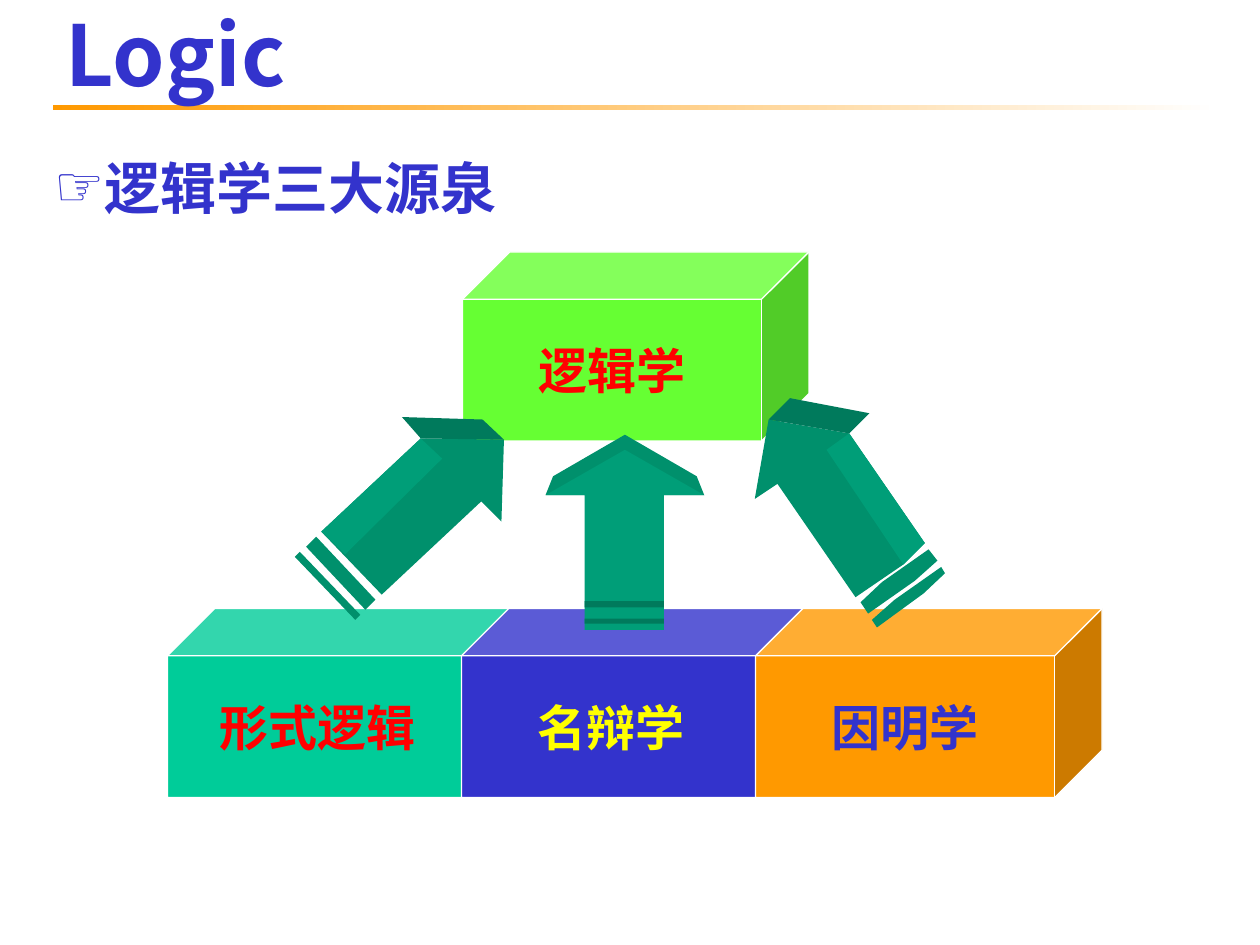
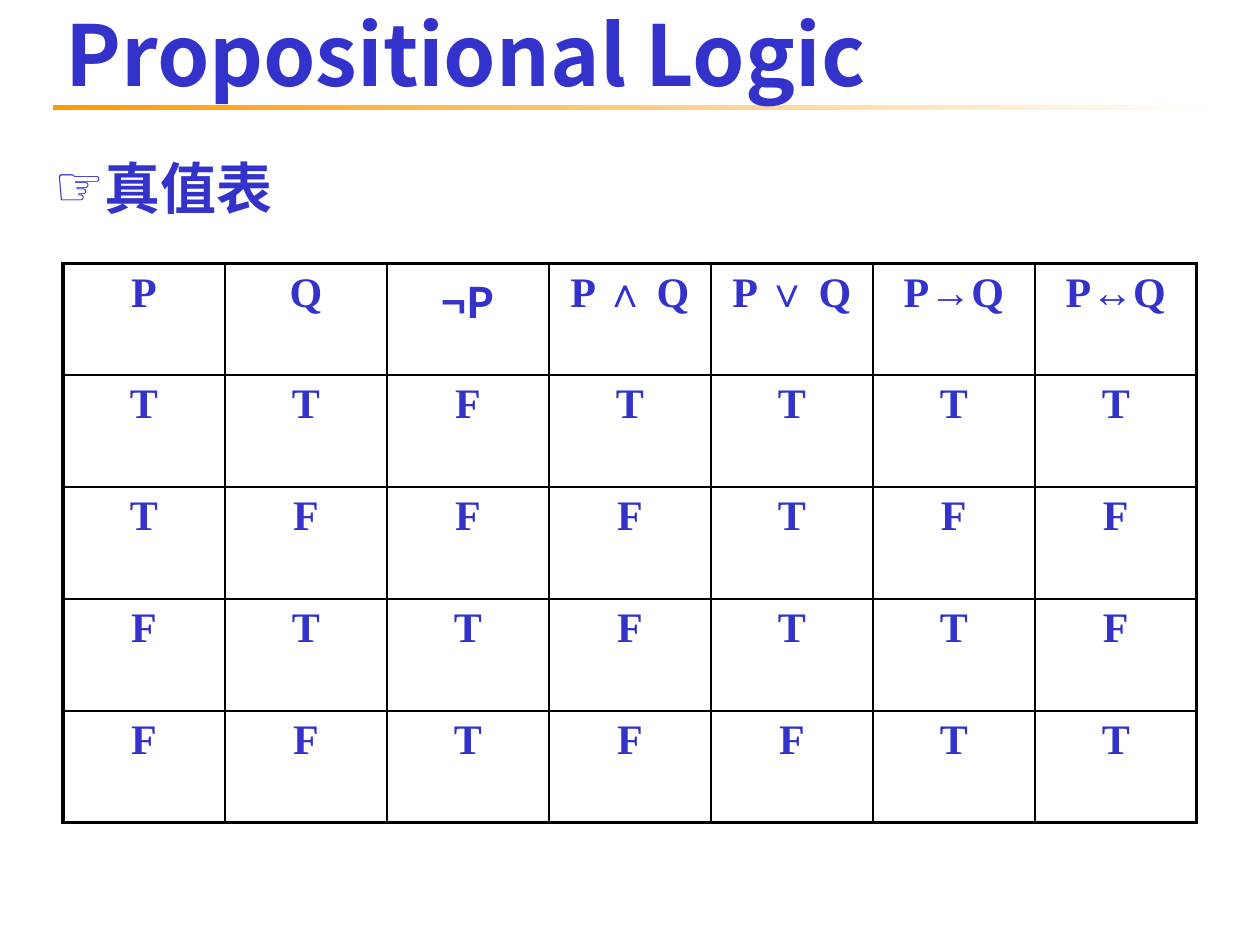
from dataclasses import dataclass

from lxml.etree import SubElement
from pptx import Presentation
from pptx.dml.color import RGBColor
from pptx.enum.shapes import MSO_SHAPE as Preset
from pptx.enum.text import MSO_ANCHOR as Anchor, MSO_AUTO_SIZE as AutoSize, PP_ALIGN as Align
from pptx.oxml.ns import qn
from pptx.util import Inches, Pt


@dataclass(frozen=True)
class Theme:
    blue: str = "3333CC"
    orange: str = "FF9900"
    teal: str = "00CC99"
    green: str = "66FF33"
    red: str = "FF0000"
    yellow: str = "FFFF00"
    white: str = "FFFFFF"
    black: str = "000000"
    arrow_light: str = "009E78"
    arrow_mid: str = "00906C"
    arrow_dark: str = "007A5C"
    sans: str = "Noto Sans CJK SC"
    serif: str = "Times New Roman"
    title_size: int = 48
    body_size: int = 32
    cube_size: int = 28
    cell_size: int = 24
    thin: float = 1
    thick: float = 2.25


THEME = Theme()

SOURCES_TITLE, SOURCES_TOPIC = "Logic", "逻辑学三大源泉"
SOURCES = [
    ("形式逻辑", THEME.teal, THEME.red),
    ("名辩学", THEME.blue, THEME.yellow),
    ("因明学", THEME.orange, THEME.blue),
]
RESULT = ("逻辑学", THEME.green, THEME.red)

FORMAL_ARROW = [
    (THEME.arrow_mid, [
        [(2.55, 4.22), (3.34, 3.48), (4, 3.49), (3.98, 4.14), (3.82, 3.98), (3.03, 4.72)],
        [(2.51, 4.26), (2.98, 4.76), (2.9, 4.84), (2.43, 4.34)],
        [(2.38, 4.38), (2.86, 4.88), (2.82, 4.92), (2.34, 4.42)],
    ]),
    (THEME.arrow_light, [[(2.55, 4.22), (3.34, 3.48), (3.51, 3.64), (2.74, 4.4)]]),
    (THEME.arrow_dark, [[(3.19, 3.31), (3.83, 3.33), (4, 3.49), (3.34, 3.48)]]),
]
DEBATE_ARROW = [
    (THEME.arrow_mid, [[(4.39, 3.78), (4.96, 3.45), (5.53, 3.78), (5.59, 3.93), (4.33, 3.93)]]),
    (THEME.arrow_light, [[(4.33, 3.93), (4.96, 3.57), (5.59, 3.93), (5.27, 3.93),
                          (5.27, 5), (4.64, 5), (4.64, 3.93)]]),
    (THEME.arrow_dark, [
        [(4.64, 4.77), (5.27, 4.77), (5.27, 4.82), (4.64, 4.82)],
        [(4.64, 4.91), (5.27, 4.91), (5.27, 4.95), (4.64, 4.95)],
    ]),
]
HETU_ARROW = [
    (THEME.arrow_mid, [
        [(6.1, 3.33), (6.74, 3.44), (7.34, 4.31), (7.17, 4.48), (6.79, 4.74), (6.17, 3.84), (5.99, 3.96)],
        [(7.37, 4.36), (7.44, 4.45), (7.26, 4.61), (6.89, 4.87), (6.83, 4.78), (7, 4.62)],
        [(7.47, 4.5), (7.5, 4.55), (7.33, 4.71), (6.96, 4.98), (6.92, 4.92), (7.1, 4.76)],
    ]),
    (THEME.arrow_light, [[(6.74, 3.44), (7.34, 4.31), (7.17, 4.48), (6.56, 3.57)]]),
    (THEME.arrow_dark, [[(6.27, 3.16), (6.9, 3.28), (6.74, 3.44), (6.1, 3.33)]]),
]
ARROWS = [FORMAL_ARROW, DEBATE_ARROW, HETU_ARROW]

TRUTH_TITLE, TRUTH_TOPIC = "Propositional Logic", "真值表"
FORMULAS = ["P", "Q", "¬P", "P ∧ Q", "P ∨ Q", "P→Q", "P↔Q"]
TRUTH_ROWS = ["TTFTTTT", "TFFFTFF", "FTTFTTF", "FFTFFTT"]


def rgb(value):
    return RGBColor.from_string(value)


def write(frame, text, size, color=THEME.blue, font=THEME.serif, align=Align.LEFT,
          anchor=None, wrap=True, bullet=None):
    frame.word_wrap = wrap
    if anchor is not None:
        frame.vertical_anchor = anchor
    paragraph = frame.paragraphs[0]
    paragraph.alignment = align
    paragraph.space_before = Pt(0)
    if bullet:
        layout = paragraph._p.get_or_add_pPr()
        layout.set("marL", str(Inches(0.38)))
        layout.set("indent", str(-Inches(0.38)))
        SubElement(layout, qn("a:buChar"), char=bullet)
    run = paragraph.add_run()
    run.text = text
    run.font.name, run.font.size, run.font.bold = font, Pt(size), True
    run.font.color.rgb = rgb(color)


def place(shape, left, top, width, height):
    shape.left, shape.top = Inches(left), Inches(top)
    shape.width, shape.height = Inches(width), Inches(height)


def add_topic_slide(deck, heading, topic):
    slide = deck.slides.add_slide(deck.slide_layouts[1])
    rule = slide.shapes.add_shape(Preset.RECTANGLE, Inches(0.42), Inches(0.83),
                                  Inches(9.25), Inches(0.04))
    rule.shadow.inherit = False
    rule.line.fill.background()
    rule.fill.gradient()
    rule.fill.gradient_angle = 0
    for stop, color in zip(rule.fill.gradient_stops, (THEME.orange, THEME.white)):
        stop.color.rgb = rgb(color)
    slide.shapes._spTree.insert(2, rule._element)

    title, body = slide.shapes.title, slide.placeholders[1]
    place(title, 0.42, 0, 9.58, 0.84)
    place(body, 0.33, 1.17, 9.33, 6.08)
    for holder in (title, body):
        holder.text_frame.auto_size = AutoSize.NONE
    write(title.text_frame, heading, THEME.title_size, font=THEME.sans, anchor=Anchor.MIDDLE)
    write(body.text_frame, topic, THEME.body_size, bullet="☞")
    return slide


def add_cube(slide, left, top, label, fill, ink):
    cube = slide.shapes.add_shape(Preset.CUBE, Inches(left), Inches(top), Inches(2.75), Inches(1.5))
    cube.adjustments[0] = 0.25
    cube.shadow.inherit = False
    cube.fill.solid()
    cube.fill.fore_color.rgb = rgb(fill)
    cube.line.color.rgb = rgb(THEME.white)
    cube.line.width = Pt(0.75)
    write(cube.text_frame, label, THEME.cube_size, color=ink, align=Align.CENTER,
          anchor=Anchor.MIDDLE, wrap=False)


def add_faces(slide, color, outlines):
    builder = None
    for outline in outlines:
        start, *rest = [(Inches(x), Inches(y)) for x, y in outline]
        if builder is None:
            builder = slide.shapes.build_freeform(*start)
        else:
            builder.move_to(*start)
        builder.add_line_segments(rest, close=True)
    faces = builder.convert_to_shape()
    faces.shadow.inherit = False
    faces.fill.solid()
    faces.fill.fore_color.rgb = rgb(color)
    faces.line.fill.background()


def set_borders(cell, widths):
    properties = cell._tc.get_or_add_tcPr()
    for side, width in zip("LRTB", widths):
        border = SubElement(properties, qn(f"a:ln{side}"), w=str(Pt(width)))
        SubElement(SubElement(border, qn("a:solidFill")), qn("a:srgbClr"), val=THEME.black)


def add_truth_table(slide):
    rows = [FORMULAS, *TRUTH_ROWS]
    row_count, column_count = len(rows), len(FORMULAS)
    table = slide.shapes.add_table(row_count, column_count, Inches(0.5), Inches(2.09),
                                   Inches(9), Inches(4.44)).table
    table.first_row = table.horz_banding = False
    for r, values in enumerate(rows):
        for c, value in enumerate(values):
            cell = table.cell(r, c)
            edges = (c == 0, c == column_count - 1, r == 0, r == row_count - 1)
            set_borders(cell, [THEME.thick if edge else THEME.thin for edge in edges])
            cell.fill.background()
            write(cell.text_frame, value, THEME.cell_size, align=Align.CENTER,
                  font=THEME.sans if value == "¬P" else THEME.serif)


def main():
    deck = Presentation()
    deck.slide_width, deck.slide_height = Inches(10), Inches(7.5)

    sources = add_topic_slide(deck, SOURCES_TITLE, SOURCES_TOPIC)
    for i, source in enumerate(SOURCES):
        add_cube(sources, 1.33 + i * 7 / 3, 4.83, *source)
    add_cube(sources, 3.67, 2, *RESULT)
    for arrow in ARROWS:
        for color, outlines in arrow:
            add_faces(sources, color, outlines)

    add_truth_table(add_topic_slide(deck, TRUTH_TITLE, TRUTH_TOPIC))
    deck.save("out.pptx")


if __name__ == "__main__":
    main()
